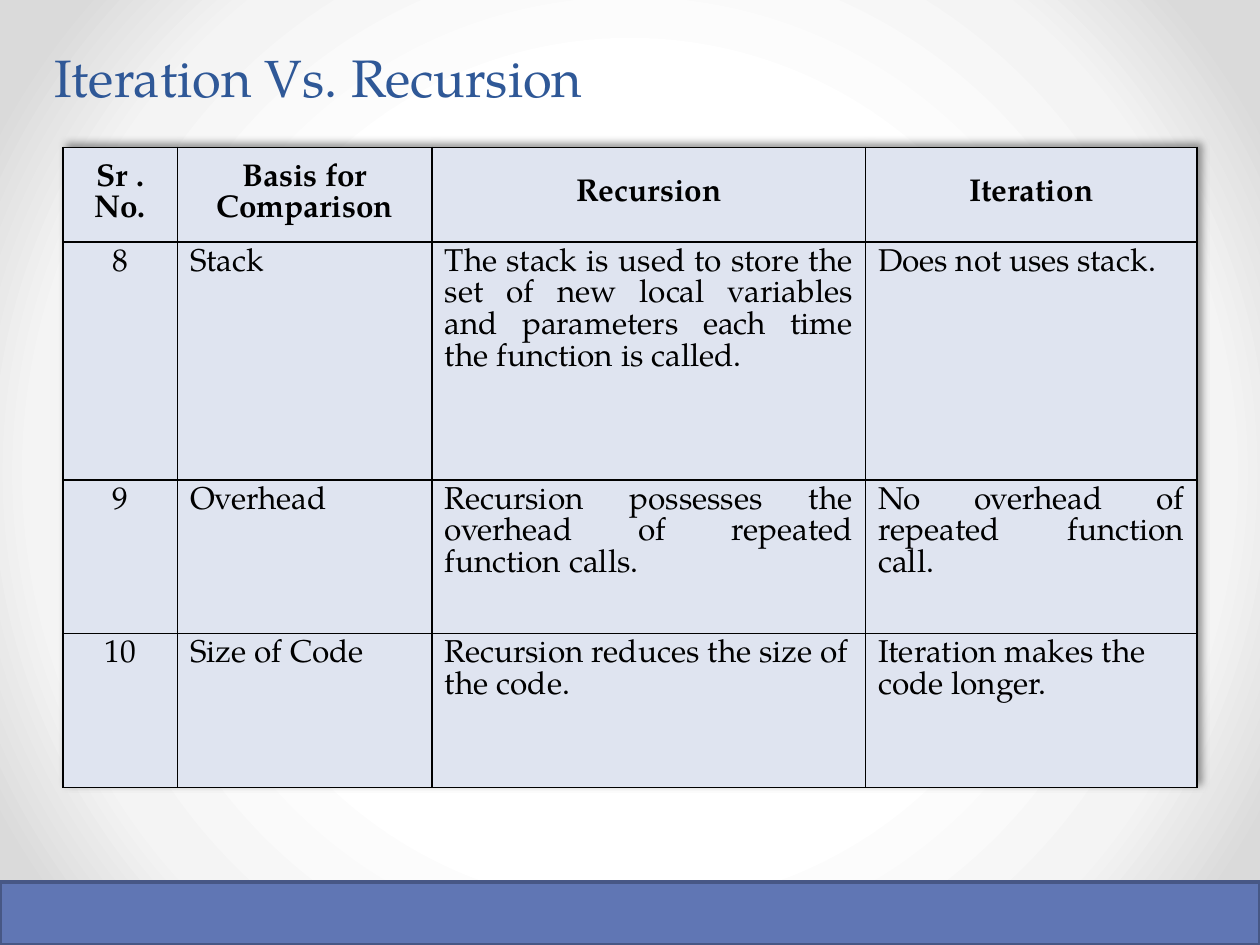
from dataclasses import dataclass

import pptx
import pptx.dml.color
import pptx.enum.shapes
import pptx.enum.text
import pptx.oxml
import pptx.oxml.ns
import pptx.util
from pptx.util import Inches

ALIGN = pptx.enum.text.PP_ALIGN
ANCHOR = pptx.enum.text.MSO_ANCHOR
NAMESPACES = pptx.oxml.ns.nsdecls("a", "p")


@dataclass(frozen=True)
class Theme:
    font: str = "TeX Gyre Pagella"
    title_size: int = 30
    title_leading: int = 58
    table_size: int = 18
    title: str = "2F5897"
    ink: str = "000000"
    cell: str = "DFE4F0"
    footer: str = "6076B4"
    footer_line: str = "475785"
    backdrop: tuple = ((50, "FFFFFF"), (76, "F4F4F4"), (92, "DADADA"))


THEME = Theme()
COLUMN_WIDTHS = (0.91, 2.02, 3.44, 2.63)
ROW_HEIGHTS = (0.75, 1.89, 1.22, 1.22)
HEADINGS = ("Sr . No.", "Basis for Comparison", "Recursion", "Iteration")
COMPARISONS = (
    ("8", "Stack",
     "The stack is used to store the set of new local variables and parameters "
     "each time the function is called.",
     "Does not uses stack."),
    ("9", "Overhead",
     "Recursion possesses the overhead of repeated function calls.",
     "No overhead of repeated function call."),
    ("10", "Size of Code",
     "Recursion reduces the size of the code.",
     "Iteration makes the code longer."),
)


def rgb(value):
    return pptx.dml.color.RGBColor.from_string(value)


def write(frame, text, *, size, color=THEME.ink, bold=False, align=ALIGN.LEFT, leading=None):
    para = frame.paragraphs[0]
    para.alignment = align
    if leading:
        para.line_spacing = pptx.util.Pt(leading)
    span = para.add_run()
    span.text = text
    span.font.name = THEME.font
    span.font.size = pptx.util.Pt(size)
    span.font.bold = bold
    span.font.color.rgb = rgb(color)


def paint_background(slide):
    """Fill the slide with a gradient that spreads from its centre."""
    stops = "".join(
        f'<a:gs pos="{position * 1000}"><a:srgbClr val="{color}"/></a:gs>'
        for position, color in THEME.backdrop)
    slide.element.cSld.insert(0, pptx.oxml.parse_xml(
        f'<p:bg {NAMESPACES}><p:bgPr><a:gradFill rotWithShape="1"><a:gsLst>{stops}</a:gsLst>'
        '<a:path path="circle"><a:fillToRect l="50000" t="50000" r="50000" b="50000"/></a:path>'
        '</a:gradFill><a:effectLst/></p:bgPr></p:bg>'))


def add_title(slide, text):
    title = slide.shapes.title
    title.left, title.top = Inches(0.33), Inches(0.08)
    title.width, title.height = Inches(9), Inches(0.75)
    title.text_frame.vertical_anchor = ANCHOR.MIDDLE
    write(title.text_frame, text, size=THEME.title_size, color=THEME.title,
          leading=THEME.title_leading)


def add_footer_band(slide):
    band = slide.shapes.add_shape(pptx.enum.shapes.MSO_SHAPE.RECTANGLE,
                                  0, Inches(7), Inches(10), Inches(0.5))
    band.shadow.inherit = False
    band.fill.solid()
    band.fill.fore_color.rgb = rgb(THEME.footer)
    band.line.color.rgb = rgb(THEME.footer_line)
    band.line.width = pptx.util.Pt(2.25)


def style_cell(cell):
    properties = cell._tc.get_or_add_tcPr()
    for side in "LRTB":
        properties.append(pptx.oxml.parse_xml(
            f'<a:ln{side} {NAMESPACES} w="12700"><a:solidFill><a:srgbClr val="{THEME.ink}"/>'
            f'</a:solidFill></a:ln{side}>'))
    cell.fill.solid()
    cell.fill.fore_color.rgb = rgb(THEME.cell)


def add_table_shadow(table):
    table._tbl.tblPr.insert(0, pptx.oxml.parse_xml(
        f'<a:effectLst {NAMESPACES}><a:outerShdw blurRad="50800" dist="38100" dir="18900000">'
        f'<a:srgbClr val="{THEME.ink}"><a:alpha val="40000"/></a:srgbClr>'
        '</a:outerShdw></a:effectLst>'))


def cell_alignment(row, column):
    if row == 0 or column == 0:
        return ALIGN.CENTER
    return ALIGN.LEFT if row == len(COMPARISONS) else ALIGN.JUSTIFY


def add_comparison_table(slide):
    rows = (HEADINGS, *COMPARISONS)
    table = slide.shapes.add_table(
        len(rows), len(HEADINGS), Inches(0.5), Inches(1.17),
        Inches(sum(COLUMN_WIDTHS)), Inches(sum(ROW_HEIGHTS))).table
    table.horz_banding = False
    add_table_shadow(table)
    for column, width in zip(table.columns, COLUMN_WIDTHS):
        column.width = Inches(width)
    for row, height in zip(table.rows, ROW_HEIGHTS):
        row.height = Inches(height)
    for r, texts in enumerate(rows):
        for c, text in enumerate(texts):
            cell = table.cell(r, c)
            style_cell(cell)
            cell.vertical_anchor = ANCHOR.TOP if r else ANCHOR.MIDDLE
            write(cell.text_frame, text, size=THEME.table_size, bold=r == 0,
                  align=cell_alignment(r, c))


def main():
    deck = pptx.Presentation()
    deck.slide_width, deck.slide_height = Inches(10), Inches(7.5)
    slide = deck.slides.add_slide(deck.slide_layouts[5])
    paint_background(slide)
    add_title(slide, "Iteration Vs. Recursion")
    add_footer_band(slide)
    add_comparison_table(slide)
    deck.save("out.pptx")


if __name__ == "__main__":
    main()
